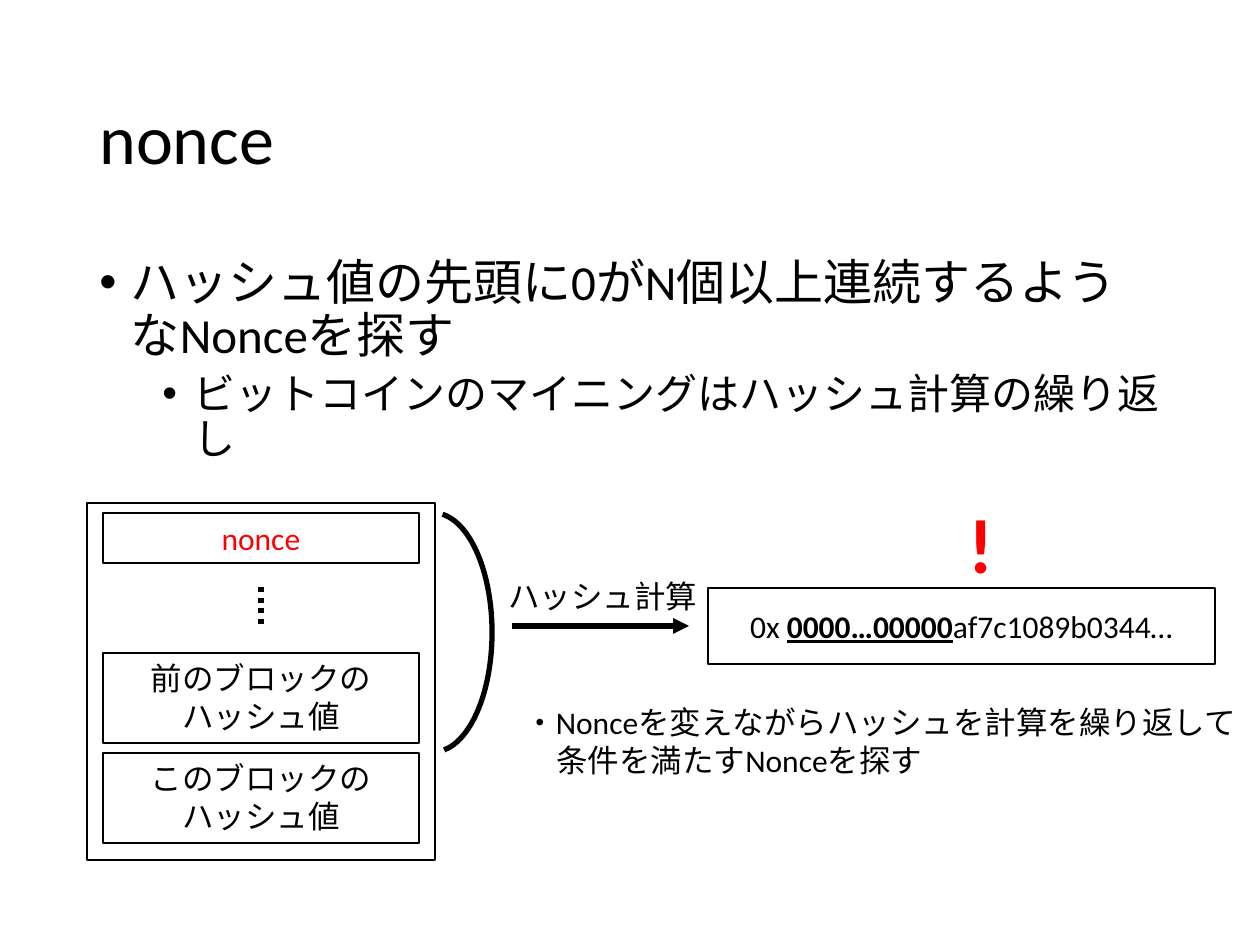
from lxml.etree import SubElement
from pptx import Presentation
from pptx.dml.color import RGBColor
from pptx.enum.dml import MSO_LINE
from pptx.enum.shapes import MSO_CONNECTOR, MSO_SHAPE
from pptx.enum.text import MSO_ANCHOR as ANCHOR, PP_ALIGN as ALIGN
from pptx.oxml.ns import qn
from pptx.util import Pt

PX = 914400 / 126
BLACK, WHITE, RED = "000000", "FFFFFF", "FF0000"

TITLE = ["nonce"]
POINTS = [
    ("ハッシュ値の先頭に0がN個以上連続するようなNonceを探す", 0, 28, 10),
    ("ビットコインのマイニングはハッシュ計算の繰り返し", 1, 24, 5),
]
BLOCK_FIELDS = [
    (["nonce"], 513, 50, dict(color=RED), dict(fill=None, width=0.75)),
    (["前のブロックの", "ハッシュ値"], 653, 90, {}, {}),
    (["このブロックの", "ハッシュ値"], 753, 90, {}, {}),
]
HASH_RESULT = [[("0x ", False), ("0000…00000", True), ("af7c1089b0344…", False)]]
HASH_LABEL = ["ハッシュ計算"]
NOTE = ["・Nonceを変えながらハッシュを計算を繰り返して", "条件を満たすNonceを探す"]
NOTE_INDENT = 32
MARK = ["!"]


def px(*lengths):
    return [round(length * PX) for length in lengths]


def rgb(color):
    return RGBColor.from_string(color)


def write(holder, lines, size=18, color=BLACK, bold=False, align=ALIGN.LEFT,
          anchor=ANCHOR.TOP, spacing=1.0):
    """Fill a shape with lines, each a string or a list of (text, emphasised) runs."""
    frame = holder.text_frame
    frame.word_wrap = True
    frame.vertical_anchor = anchor
    for i, line in enumerate(lines):
        paragraph = frame.add_paragraph() if i else frame.paragraphs[0]
        paragraph.alignment = align
        paragraph.line_spacing = spacing
        for text, emphasised in [(line, False)] if isinstance(line, str) else line:
            run = paragraph.add_run()
            run.text = text
            run.font.name = "Calibri"
            run.font.size = Pt(size)
            run.font.color.rgb = rgb(color)
            run.font.bold = bold or emphasised
            run.font.underline = emphasised
    return frame


def indent(paragraph, left, first=0, bullet=None):
    properties = paragraph._p.get_or_add_pPr()
    left, first = px(left, first)
    properties.set("marL", str(left))
    properties.set("indent", str(first))
    if bullet:
        SubElement(properties, qn("a:buFont")).set("typeface", "Arial")
        SubElement(properties, qn("a:buChar")).set("char", bullet)


def add_label(slide, box, lines, **style):
    return write(slide.shapes.add_textbox(*px(*box)), lines, **style)


def add_outlined(slide, kind, box, fill=WHITE, width=1):
    shape = slide.shapes.add_shape(kind, *px(*box))
    shape.shadow.inherit = False
    if fill:
        shape.fill.solid()
        shape.fill.fore_color.rgb = rgb(fill)
    else:
        shape.fill.background()
    shape.line.color.rgb = rgb(BLACK)
    shape.line.width = Pt(width)
    return shape


def add_line(slide, *ends):
    line = slide.shapes.add_connector(MSO_CONNECTOR.STRAIGHT, *px(*ends))
    line.line.color.rgb = rgb(BLACK)
    line.line.width = Pt(3)
    SubElement(line._element.spPr, qn("a:effectLst"))
    return line


def add_points(slide):
    frame = add_label(slide, (87, 252, 1086, 233), [point[0] for point in POINTS], spacing=0.9)
    for i, (paragraph, (_, level, size, before)) in enumerate(zip(frame.paragraphs, POINTS)):
        paragraph.level = level
        paragraph.space_before = Pt(before if i else 0)
        indent(paragraph, 31.5 + 63 * level, -31.5, "•")
        paragraph.runs[0].font.size = Pt(size)


def add_block(slide):
    add_outlined(slide, MSO_SHAPE.RECTANGLE, (87, 503, 348, 357))
    for lines, top, height, text_style, box_style in BLOCK_FIELDS:
        field = add_outlined(slide, MSO_SHAPE.RECTANGLE, (103, top, 316, height), **box_style)
        write(field, lines, align=ALIGN.CENTER, **text_style)
    ellipsis = add_line(slide, 261, 587, 261, 626)
    ellipsis.line.dash_style = MSO_LINE.ROUND_DOT


def add_hashing(slide):
    brace = add_outlined(slide, MSO_SHAPE.ARC, (375, 513, 117, 239), fill=None, width=3)
    brace.adjustments[0], brace.adjustments[1] = 164.62, 50.9
    arrow = add_line(slide, 512, 626, 689, 626)
    SubElement(arrow.line._get_or_add_ln(), qn("a:tailEnd")).set("type", "triangle")
    add_label(slide, (496, 571, 238, 50), HASH_LABEL)
    result = add_outlined(slide, MSO_SHAPE.RECTANGLE, (708, 588, 507, 76))
    write(result, HASH_RESULT, align=ALIGN.CENTER, anchor=ANCHOR.MIDDLE)
    note = add_label(slide, (512, 697, 742, 90), NOTE)
    indent(note.paragraphs[1], NOTE_INDENT)
    add_label(slide, (956, 490, 123, 106), MARK, size=44, color=RED, bold=True)


def main():
    deck = Presentation()
    deck.slide_width, deck.slide_height = px(1260, 945)
    slide = deck.slides.add_slide(deck.slide_layouts[6])
    add_label(slide, (87, 50, 1086, 183), TITLE, size=40, anchor=ANCHOR.MIDDLE, spacing=0.9)
    add_points(slide)
    add_block(slide)
    add_hashing(slide)
    deck.save("out.pptx")


if __name__ == "__main__":
    main()
